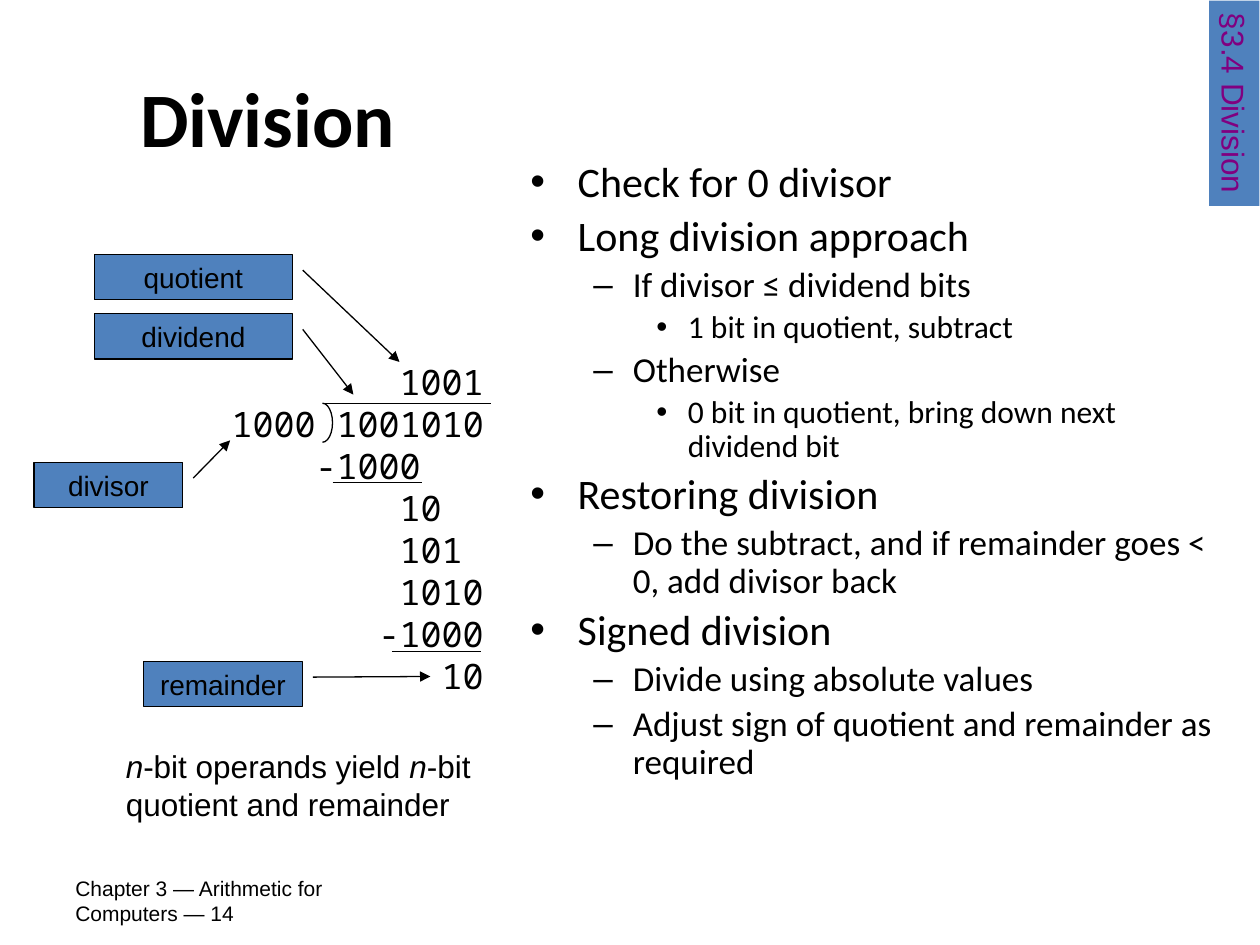
from lxml.etree import SubElement
from pptx import Presentation
from pptx.dml.color import RGBColor
from pptx.enum.shapes import MSO_CONNECTOR, MSO_SHAPE
from pptx.enum.text import MSO_ANCHOR, MSO_AUTO_SIZE, PP_ALIGN
from pptx.oxml.ns import qn
from pptx.util import Inches, Pt

BLUE, BLACK, PURPLE = "4F81BD", "000000", "800080"
DIGIT_WIDTH = 1 / 6
BODY_SIZES = (24, 20, 18)
BODY_LINES = [
    (0, "Check for 0 divisor"),
    (0, "Long division approach"),
    (1, "If divisor ≤ dividend bits"),
    (2, "1 bit in quotient, subtract"),
    (1, "Otherwise"),
    (2, "0 bit in quotient, bring down next dividend bit"),
    (0, "Restoring division"),
    (1, "Do the subtract, and if remainder goes < 0, add divisor back"),
    (0, "Signed division"),
    (1, "Divide using absolute values"),
    (1, "Adjust sign of quotient and remainder as required"),
]
DIVISION_STEPS = [
    (8, "1001"), (0, "1000 1001010"), (4, "-1000"), (8, "10"),
    (8, "101"), (8, "1010"), (7, "-1000"), (10, "10"),
]
CALLOUTS = [
    ("quotient", (0.75, 2.02, 1.57, 0.36), (0.346, 1.053, 2.37, 1.542)),
    ("dividend", (0.75, 2.49, 1.57, 0.36), (0.346, 1.053, 1.784, 1.309)),
    ("remainder", (1.14, 5.25, 1.26, 0.36), (0.346, 1.066, 0.332, 1.807)),
    ("divisor", (0.27, 3.67, 1.18, 0.36), (0.346, 1.071, -0.486, 1.319)),
]
RULES = [(2.56, 3.9, 3.2), (2.64, 3.35, 3.83), (3.11, 3.82, 5.17)]


def color(value):
    """Turn a hex string into a colour."""
    return RGBColor.from_string(value)


def set_font(paragraph, size, name="Arial", fill=BLACK, bold=None):
    """Format the font of a whole paragraph."""
    font = paragraph.font
    font.size, font.name, font.bold = Pt(size), name, bold
    font.color.rgb = color(fill)


def place(shape, box):
    """Move and size a shape to a box in inches."""
    shape.left, shape.top, shape.width, shape.height = map(Inches, box)


def set_line(shape):
    """Give a shape or connector the thin black line."""
    shape.line.color.rgb = color(BLACK)
    shape.line.width = Pt(0.75)


def add_text_frame(slide, box, wrap=True):
    """Add a text box and return its frame."""
    frame = slide.shapes.add_textbox(*map(Inches, box)).text_frame
    frame.word_wrap = wrap
    return frame


def add_shape(slide, kind, box, fill=None):
    """Add a preset shape without shadow."""
    shape = slide.shapes.add_shape(kind, *map(Inches, box))
    shape.shadow.inherit = False
    if fill:
        shape.fill.solid()
        shape.fill.fore_color.rgb = color(fill)
    else:
        shape.fill.background()
    return shape


def add_callout(slide, label, box, adjustments):
    """Add a labelled box with an arrow to the calculation."""
    shape = add_shape(slide, MSO_SHAPE.LINE_CALLOUT_1, box, BLUE)
    for index, value in enumerate(adjustments):
        shape.adjustments[index] = value
    set_line(shape)
    SubElement(shape.line._get_or_add_ln(), qn("a:tailEnd"), type="triangle")
    paragraph = shape.text_frame.paragraphs[0]
    paragraph.text, paragraph.alignment = label, PP_ALIGN.CENTER
    set_font(paragraph, 16)


def add_rule(slide, start, end, top):
    """Add a horizontal line of the calculation."""
    points = map(Inches, (start, top, end, top))
    rule = slide.shapes.add_connector(MSO_CONNECTOR.STRAIGHT, *points)
    set_line(rule)
    SubElement(rule._element.spPr, qn("a:effectLst"))


def add_bracket(slide):
    """Add the curved division bracket."""
    bracket = add_shape(slide, MSO_SHAPE.ARC, (2.48, 3.2, 0.16, 0.31))
    bracket.adjustments[0], bracket.adjustments[1] = 162, 54
    set_line(bracket)


def add_calculation(slide):
    """Add the long division, indented by digit columns."""
    frame = add_text_frame(slide, (1.74, 2.81, 2.3, 2.77))
    for index, (column, digits) in enumerate(DIVISION_STEPS):
        paragraph = frame.add_paragraph() if index else frame.paragraphs[0]
        paragraph.text = digits
        set_font(paragraph, 20, "Noto Sans Mono")
        properties = paragraph._p.get_or_add_pPr()
        properties.set("marL", str(Inches(column * DIGIT_WIDTH)))
        properties.set("indent", "0")


def fill_title(title):
    """Write the slide title."""
    place(title, (0.5, 0.3, 3.25, 1.25))
    title.text_frame.text = "Division"
    set_font(title.text_frame.paragraphs[0], 44, "Calibri", bold=True)


def fill_body(body):
    """Write the list of points."""
    place(body, (4.11, 1.23, 5.69, 5.59))
    frame = body.text_frame
    frame.auto_size = MSO_AUTO_SIZE.NONE
    for index, (level, text) in enumerate(BODY_LINES):
        paragraph = frame.add_paragraph() if index else frame.paragraphs[0]
        paragraph.text, paragraph.level = text, level
        paragraph.line_spacing = 0.9
        set_font(paragraph, BODY_SIZES[level], "Calibri")


def add_operand_note(slide):
    """Add the note on operand width."""
    frame = add_text_frame(slide, (0.9, 5.88, 2.94, 0.7), wrap=False)
    paragraph = frame.paragraphs[0]
    for text in ("n", "-bit operands yield ", "n", "-bit"):
        run = paragraph.add_run()
        run.text, run.font.italic = text, text == "n"
    paragraph.add_line_break()
    paragraph.add_run().text = "quotient and remainder"
    set_font(paragraph, 18)


def add_footer(slide):
    """Add the chapter and page line."""
    frame = add_text_frame(slide, (0.5, 6.95, 2.33, 0.4))
    frame.vertical_anchor = MSO_ANCHOR.MIDDLE
    paragraph = frame.paragraphs[0]
    paragraph.text = "Chapter 3 — Arithmetic for Computers — 14"
    set_font(paragraph, 12)


def add_section_tag(slide):
    """Add the rotated section tag at the right edge."""
    tag = add_shape(slide, MSO_SHAPE.RECTANGLE, (8.98, 0.62, 1.63, 0.4), BLUE)
    tag.rotation = 90
    tag.line.fill.background()
    tag.text_frame.word_wrap = False
    paragraph = tag.text_frame.paragraphs[0]
    paragraph.text, paragraph.alignment = "§3.4 Division", PP_ALIGN.LEFT
    set_font(paragraph, 18, fill=PURPLE)


def main():
    """Build and save the slide."""
    presentation = Presentation()
    presentation.slide_width, presentation.slide_height = Inches(10), Inches(7.5)
    slide = presentation.slides.add_slide(presentation.slide_layouts[1])
    add_footer(slide)
    fill_title(slide.shapes.title)
    fill_body(slide.placeholders[1])
    add_calculation(slide)
    for rule in RULES:
        add_rule(slide, *rule)
    add_bracket(slide)
    add_operand_note(slide)
    for callout in CALLOUTS:
        add_callout(slide, *callout)
    add_section_tag(slide)
    presentation.save("out.pptx")


main()
